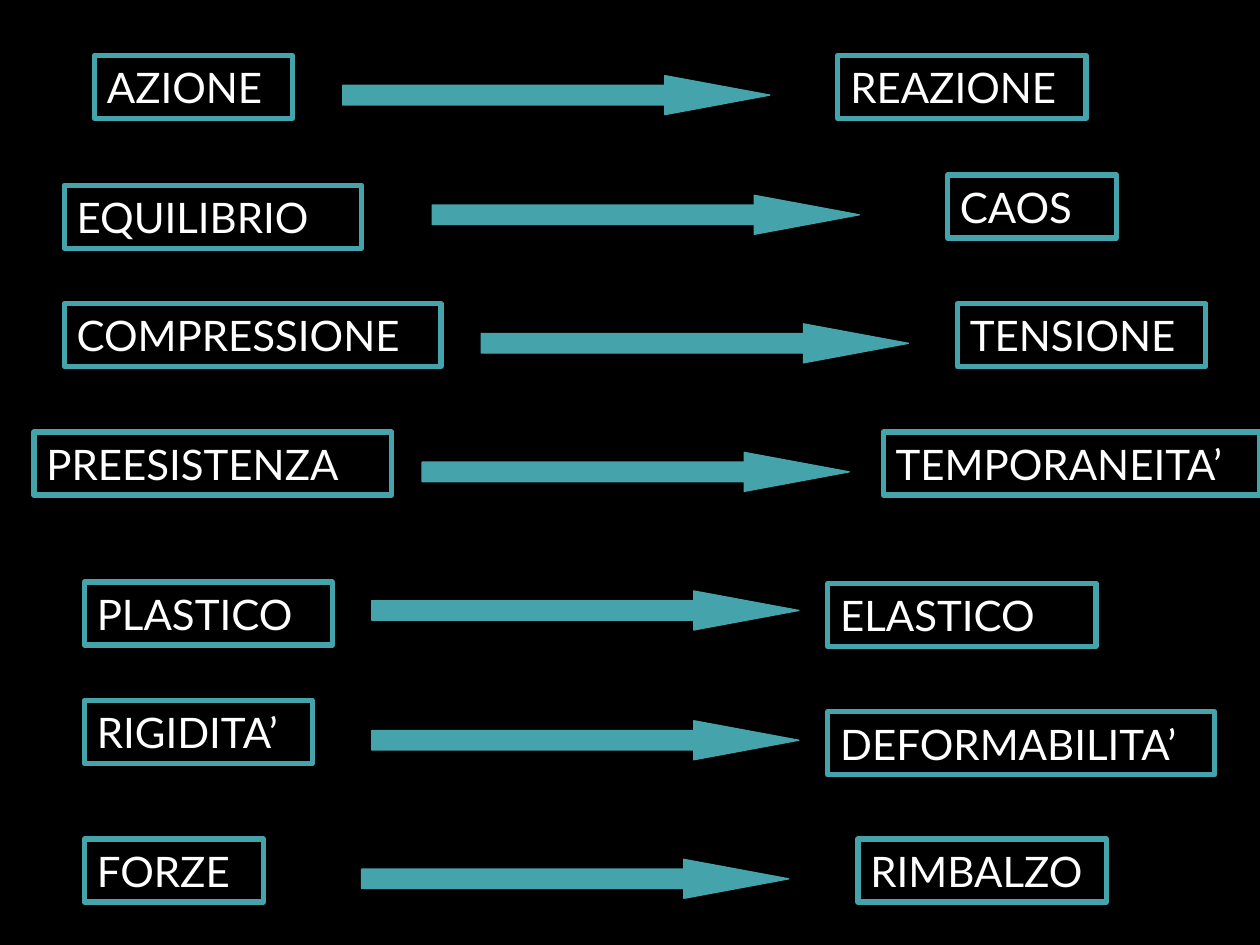
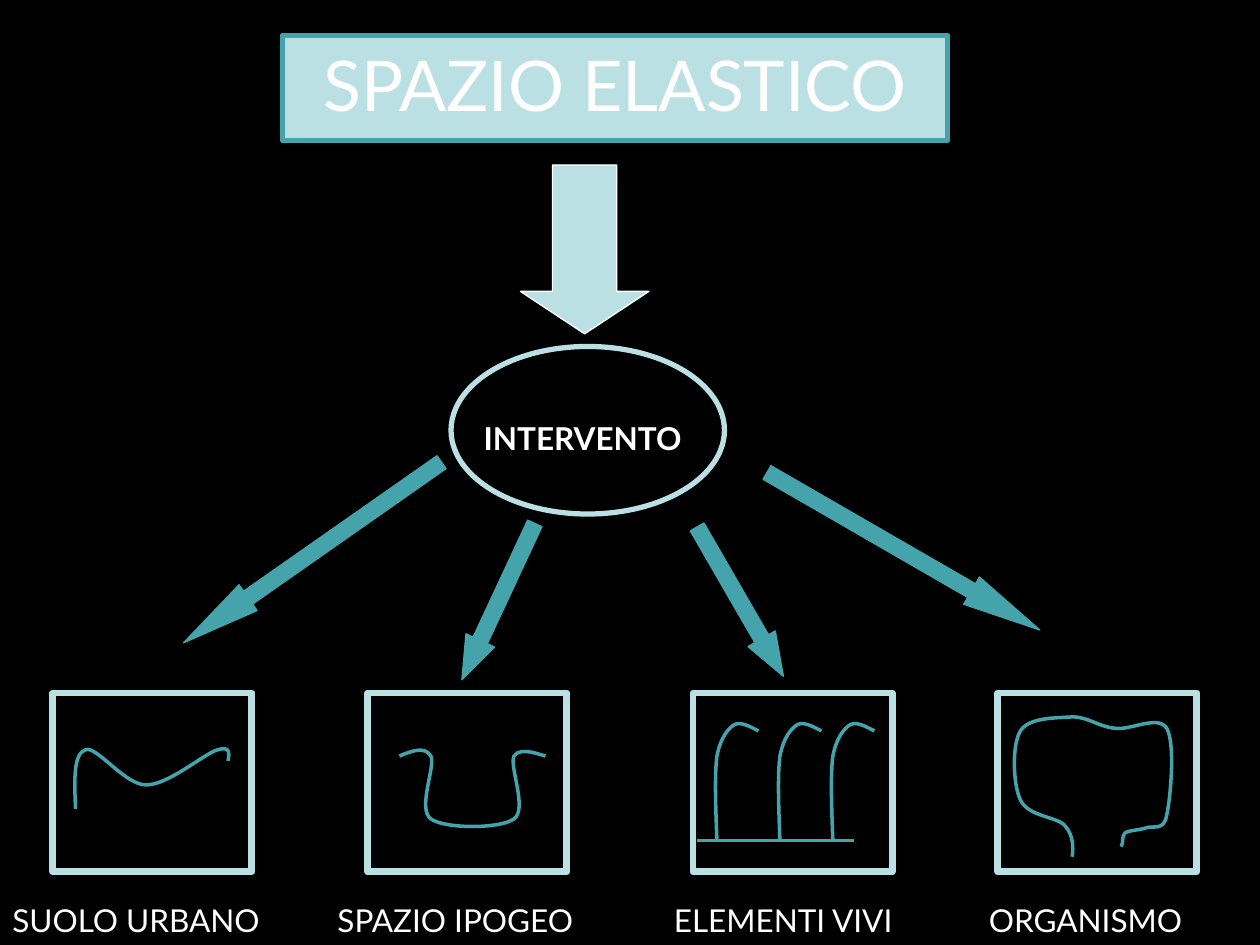
import pptx
import pptx.util
import pptx.dml.color
import pptx.enum.shapes
import pptx.enum.text
import pptx.oxml
import pptx.oxml.ns

PX = 9144  # EMU per px, 100 px to the inch
SHAPE = pptx.enum.shapes.MSO_SHAPE
ALIGN = pptx.enum.text.PP_ALIGN

BLACK = "000000"
WHITE = "FFFFFF"
TEAL = "45A4AB"
PALE = "BBE0E3"
FONT = "Lato"

# Opposites: (word, x, y, width), arrow (x, y), (word, x, y, width)
OPPOSITES = [
    (("AZIONE", 75, 44, 157), (272, 60), ("REAZIONE", 665, 44, 197)),
    (("EQUILIBRIO", 51, 147, 236), (343, 155), ("CAOS", 752, 139, 134)),
    (("COMPRESSIONE", 51, 241, 299), (382, 257), ("TENSIONE", 760, 241, 197)),
    (("PREESISTENZA", 27, 343, 284), (335, 359), ("TEMPORANEITA’", 701, 343, 299)),
    (("PLASTICO", 67, 462, 197), (295, 469), ("ELASTICO", 657, 463, 213)),
    (("RIGIDITA’", 67, 556, 181), (295, 572), ("DEFORMABILITA’", 657, 565, 307)),
    (("FORZE", 67, 666, 142), (287, 682), ("RIMBALZO", 681, 666, 197)),
]

# Sketches: a start point, then three Bezier points for each curve
GROUND = [(18, 92), (17, 70), (16, 48), (26, 45), (35, 42), (57, 73), (74, 73),
          (92, 73), (120, 48), (131, 45), (141, 42), (140, 48), (139, 54)]
HOLLOW = [(25, 50), (35, 46), (45, 42), (50, 50), (54, 58), (39, 92), (50, 100),
          (61, 108), (105, 108), (116, 100), (127, 92), (112, 58), (116, 50),
          (121, 42), (139, 50), (141, 50)]
STEM = [(0, 95), (-1, 69), (-2, 43), (0, 28), (3, 13), (9, 6), (14, 3),
        (20, 0), (30, 7), (33, 8)]
ORGANISM = [(59, 130), (60, 122), (60, 113), (53, 105), (46, 98), (24, 98), (18, 85),
            (12, 73), (11, 41), (18, 30), (25, 19), (47, 20), (59, 19),
            (72, 19), (80, 27), (93, 28), (105, 30), (127, 17), (134, 28),
            (141, 40), (137, 84), (134, 97), (132, 110), (123, 105), (118, 107),
            (112, 109), (104, 109), (101, 111), (98, 114), (100, 118), (98, 122)]


def emu(*lengths):
    return [pptx.util.Emu(length * PX) for length in lengths]


def color(hex_value):
    return pptx.dml.color.RGBColor.from_string(hex_value)


def paint(part, fill, line, width):
    """Set fill (None for no fill) and outline, without a shadow."""
    part.shadow.inherit = False
    if fill:
        part.fill.solid()
        part.fill.fore_color.rgb = color(fill)
    else:
        part.fill.background()
    part.line.color.rgb = color(line)
    part.line.width = pptx.util.Pt(width)


def write(part, words, size, align=ALIGN.LEFT, bold=False):
    frame = part.text_frame
    frame.text = words
    frame_format = {
        "word_wrap": True,
        "vertical_anchor": pptx.enum.text.MSO_ANCHOR.TOP,
        "auto_size": pptx.enum.text.MSO_AUTO_SIZE.SHAPE_TO_FIT_TEXT,
    }
    for name, value in frame_format.items():
        setattr(frame, name, value)
    paragraph = frame.paragraphs[0]
    paragraph.alignment = align
    font = paragraph.runs[0].font
    for name, value in {"name": FONT, "size": pptx.util.Pt(size), "bold": bold}.items():
        setattr(font, name, value)
    font.color.rgb = color(WHITE)


def add_preset(shapes, preset, box, fill, line, width):
    part = shapes.add_shape(preset, *emu(*box))
    paint(part, fill, line, width)
    return part


def add_arrow(shapes, box, head, rotation=0):
    arrow = add_preset(shapes, SHAPE.RIGHT_ARROW, box, TEAL, TEAL, 0.75)
    arrow.adjustments[1] = head
    arrow.rotation = rotation


def add_caption(shapes, words, box, bold=False):
    write(shapes.add_textbox(*emu(*box)), words, 18, bold=bold)


def add_curve(shapes, x, y, points):
    """Draw a smooth open line whose points are relative to (x, y)."""
    builder = shapes.build_freeform(*points[0], scale=PX)
    builder.add_line_segments(points[1:], close=False)
    curve = builder.convert_to_shape(*emu(x, y))
    paint(curve, None, TEAL, 2)
    # Join each three straight segments into one Bezier segment
    segments = curve._element.xpath(".//a:lnTo")
    for first in range(0, len(segments), 3):
        bezier = pptx.oxml.parse_xml(
            f"<a:cubicBezTo {pptx.oxml.ns.nsdecls('a')}/>")
        segments[first].addprevious(bezier)
        for segment in segments[first:first + 3]:
            bezier.append(segment[0])
            segment.getparent().remove(segment)


# Sketches, each placed relative to its frame
def draw_ground(shapes, x, y):
    add_curve(shapes, x, y, GROUND)


def draw_hollow(shapes, x, y):
    add_curve(shapes, x, y, HOLLOW)


def draw_stems(shapes, x, y):
    plants = shapes.add_group_shape().shapes
    for stem_x in (19, 69, 111):
        add_curve(plants, x + stem_x, y + 22, STEM)
    soil = plants.add_connector(pptx.enum.shapes.MSO_CONNECTOR.STRAIGHT,
                                *emu(x + 3, y + 117, x + 128, y + 117))
    soil.line.color.rgb = color(TEAL)
    soil.line.width = pptx.util.Pt(2)
    soil._element.spPr.append(
        pptx.oxml.parse_xml(f"<a:effectLst {pptx.oxml.ns.nsdecls('a')}/>"))


def draw_organism(shapes, x, y):
    add_curve(shapes, x, y, ORGANISM)


def add_opposites(shapes, start, arrow_at, end):
    for words, x, y, width in (start, end):
        label = add_preset(shapes, SHAPE.RECTANGLE, (x, y, width, 50), None, TEAL, 3)
        write(label, words, 24)
    add_arrow(shapes, (*arrow_at, 339, 31), 2.69)


def add_theme(shapes, x, y, words, label_x, label_width, draw_sketch):
    add_preset(shapes, SHAPE.RECTANGLE, (x, y, 158, 142), None, PALE, 4)
    draw_sketch(shapes, x, y)
    add_caption(shapes, words, (label_x, y + 160, label_width, 40))


def add_heading(title, box):
    for side, length in zip(("left", "top", "width", "height"), emu(*box)):
        setattr(title, side, length)
    paint(title, PALE, TEAL, 3)
    write(title, "SPAZIO ELASTICO", 40, ALIGN.CENTER)


def build_opposites_slide(deck):
    shapes = deck.slides.add_slide(deck.slide_layouts[6]).shapes
    for row in OPPOSITES:
        add_opposites(shapes, *row)


def build_elastic_space_slide(deck):
    shapes = deck.slides.add_slide(deck.slide_layouts[5]).shapes
    add_heading(shapes.title, (224, 28, 528, 77))

    # Intervention
    down = add_preset(shapes, SHAPE.DOWN_ARROW, (413, 131, 102, 134), PALE, WHITE, 0.75)
    down.adjustments[1] = 0.33
    add_preset(shapes, SHAPE.OVAL, (358, 275, 217, 133), None, PALE, 3)
    add_caption(shapes, "INTERVENTO", (374, 328, 200, 40), bold=True)

    # Arrows to the four themes
    for x, y, length, head, rotation in (
        (123, 426, 250, 2.5, 145),
        (327, 465, 137, 1.38, 115),
        (519, 465, 137, 1.38, 60),
        (592, 425, 250, 2.5, 30),
    ):
        add_arrow(shapes, (x, y, length, 25), head, rotation)

    # Themes
    for x, words, label_x, label_width, draw_sketch in (
        (42, "SUOLO URBANO", 0, 258, draw_ground),
        (292, "SPAZIO IPOGEO", 258, 258, draw_hollow),
        (550, "ELEMENTI VIVI", 525, 258, draw_stems),
        (792, "ORGANISMO", 775, 217, draw_organism),
    ):
        add_theme(shapes, x, 550, words, label_x, label_width, draw_sketch)


def main():
    deck = pptx.Presentation()
    deck.slide_width, deck.slide_height = emu(1000, 750)
    backdrop = deck.slide_master.background.fill
    backdrop.solid()
    backdrop.fore_color.rgb = color(BLACK)
    build_opposites_slide(deck)
    build_elastic_space_slide(deck)
    deck.save("out.pptx")


if __name__ == "__main__":
    main()
